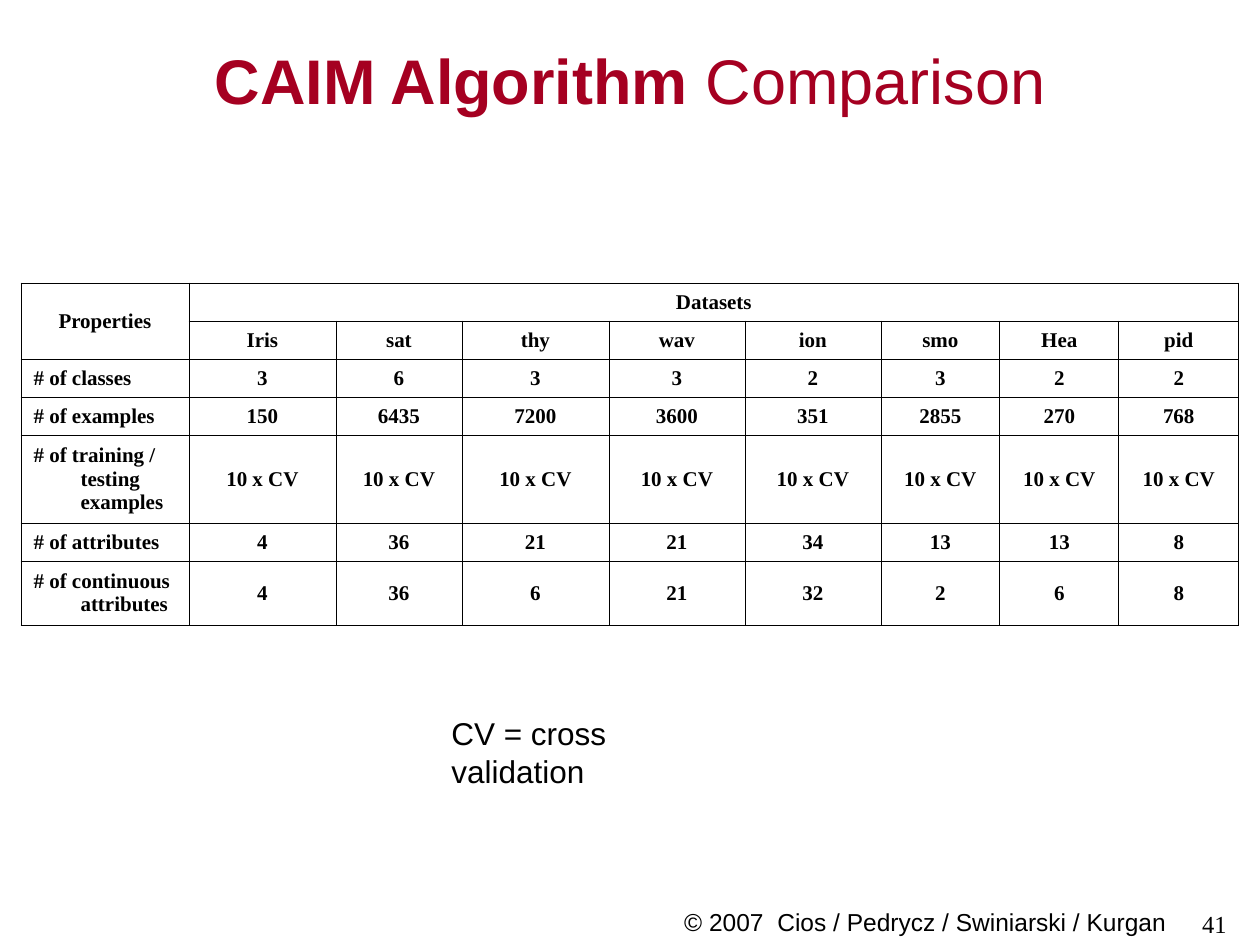
import lxml.etree
import pptx
import pptx.dml.color
import pptx.enum.text
import pptx.oxml.ns
import pptx.util

EMU_PER_PX = 914400 / 126
ALIGN = pptx.enum.text.PP_ALIGN
ANCHOR = pptx.enum.text.MSO_ANCHOR

DATASETS = ["Iris", "sat", "thy", "wav", "ion", "smo", "Hea", "pid"]
PROPERTIES = {
    "# of classes": [3, 6, 3, 3, 2, 3, 2, 2],
    "# of examples": [150, 6435, 7200, 3600, 351, 2855, 270, 768],
    "# of training / testing examples": ["10 x CV"] * len(DATASETS),
    "# of attributes": [4, 36, 21, 21, 34, 13, 13, 8],
    "# of continuous attributes": [4, 36, 6, 21, 32, 2, 6, 8],
}
COLUMN_WIDTHS = [168, 147, 126, 147, 136, 136, 119, 119, 120]
ROW_HEIGHTS = [38, 38, 38, 38, 88, 38, 64]


def px(length):
    return pptx.util.Emu(round(length * EMU_PER_PX))


def rgb(hex_color):
    return pptx.dml.color.RGBColor.from_string(hex_color)


def set_all(target, values):
    for name, value in values.items():
        setattr(target, name, value)


class SlideBuilder:
    black = "000000"
    title_red = "A50021"
    sans = "Arial"
    serif = "Times New Roman"
    border_pt = 0.45
    hanging = 47

    def __init__(self, slide):
        self.slide = slide

    def add_runs(self, paragraph, runs, size, font, color, align):
        """Fill a paragraph with (text, bold) runs."""
        paragraph.alignment = align
        for text, bold in runs:
            run = paragraph.add_run()
            run.text = text
            set_all(run.font, {"name": font, "size": pptx.util.Pt(size), "bold": bold})
            run.font.color.rgb = rgb(color)

    def text(self, box, runs, size, font=sans, color=black, align=ALIGN.LEFT,
             anchor=ANCHOR.TOP, wrap=True):
        frame = self.slide.shapes.add_textbox(*map(px, box)).text_frame
        set_all(frame, {"word_wrap": wrap, "vertical_anchor": anchor})
        self.add_runs(frame.paragraphs[0], runs, size, font, color, align)

    def border(self, cell):
        properties = cell._tc.get_or_add_tcPr()
        qn = pptx.oxml.ns.qn
        for side in ("a:lnL", "a:lnR", "a:lnT", "a:lnB"):
            line = lxml.etree.SubElement(
                properties, qn(side), w=str(pptx.util.Pt(self.border_pt)))
            fill = lxml.etree.SubElement(line, qn("a:solidFill"))
            lxml.etree.SubElement(fill, qn("a:srgbClr"), val=self.black)

    def cell(self, cell, text, is_label):
        self.border(cell)
        cell.fill.background()
        cell.vertical_anchor = ANCHOR.MIDDLE
        if text == "":
            return
        paragraph = cell.text_frame.paragraphs[0]
        if is_label:
            indents = paragraph._p.get_or_add_pPr()
            indents.set("marL", str(px(self.hanging)))
            indents.set("indent", str(-px(self.hanging)))
        self.add_runs(paragraph, [(str(text), True)], 12, self.serif, self.black,
                      ALIGN.LEFT if is_label else ALIGN.CENTER)

    def table(self, left, top, widths, heights, rows, merges, header_rows):
        table = self.slide.shapes.add_table(
            len(heights), len(widths), px(left), px(top),
            px(sum(widths)), px(sum(heights))).table
        set_all(table, {"first_row": False, "horz_banding": False})
        for column, width in zip(table.columns, widths):
            column.width = px(width)
        for row, height in zip(table.rows, heights):
            row.height = px(height)
        for first, last in merges:
            table.cell(*first).merge(table.cell(*last))
        for r, row in enumerate(rows):
            for c, value in enumerate(row):
                self.cell(table.cell(r, c), value, c == 0 and r >= header_rows)


def main():
    presentation = pptx.Presentation()
    set_all(presentation, {"slide_width": px(1260), "slide_height": px(945)})
    builder = SlideBuilder(presentation.slides.add_slide(presentation.slide_layouts[6]))

    builder.text((63, 0, 1134, 158), [("CAIM Algorithm", True), (" Comparison", False)],
                 36, color=builder.title_red, align=ALIGN.CENTER, anchor=ANCHOR.MIDDLE)

    rows = [["Properties", "Datasets"] + [""] * (len(DATASETS) - 1), [""] + DATASETS]
    rows += [[label] + values for label, values in PROPERTIES.items()]
    builder.table(21, 283, COLUMN_WIDTHS, ROW_HEIGHTS, rows,
                  merges=[((0, 0), (1, 0)), ((0, 1), (0, len(DATASETS)))],
                  header_rows=2)

    builder.text((439, 708, 321, 50), [("CV = cross validation", False)], 18, wrap=False)
    builder.text((441, 901, 738, 42),
                 [("© 2007  Cios / Pedrycz / Swiniarski / Kurgan", False)],
                 14, align=ALIGN.RIGHT)
    builder.text((945, 903, 294, 42), [("41", False)], 14, builder.serif, align=ALIGN.RIGHT)
    presentation.save("out.pptx")


if __name__ == "__main__":
    main()
